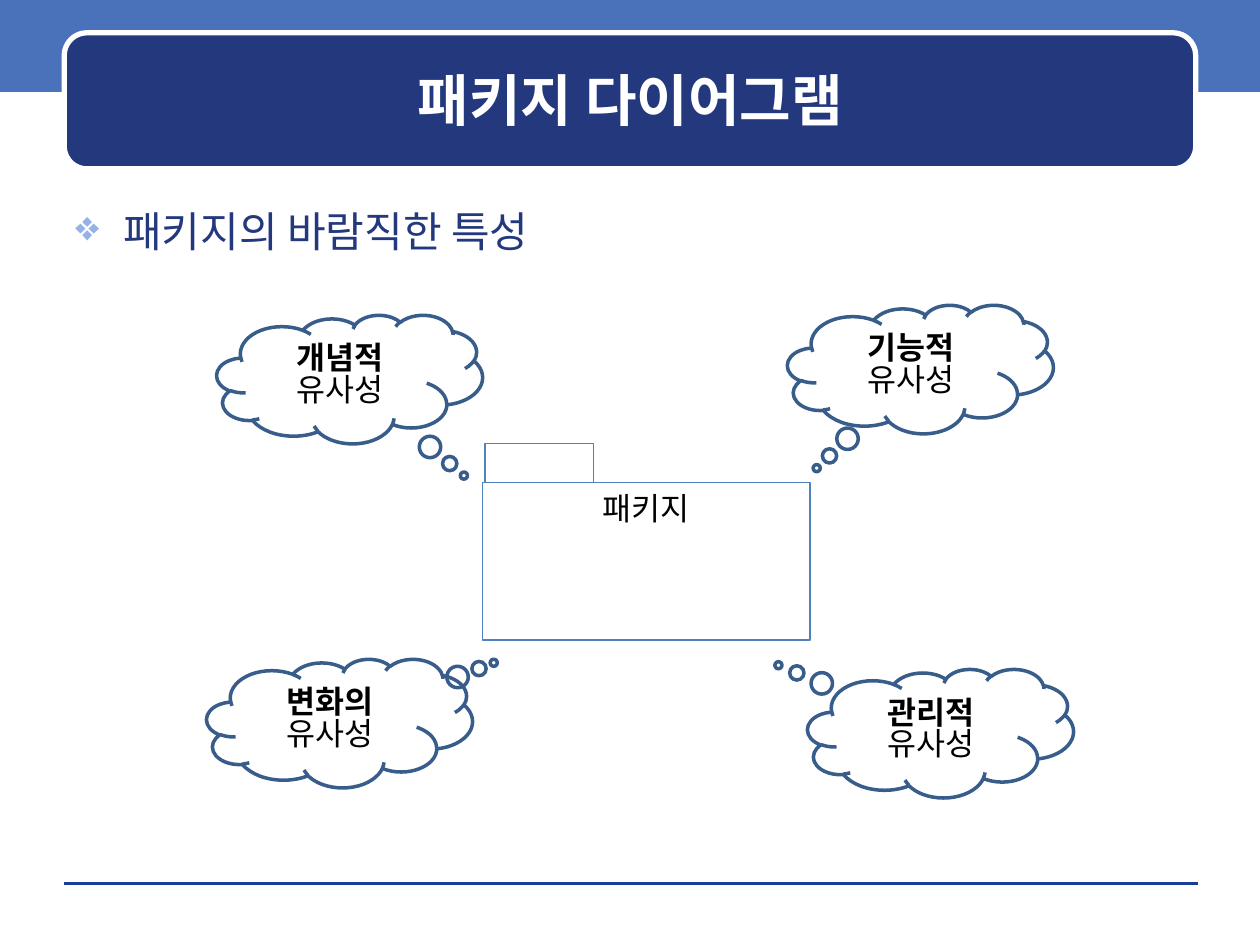
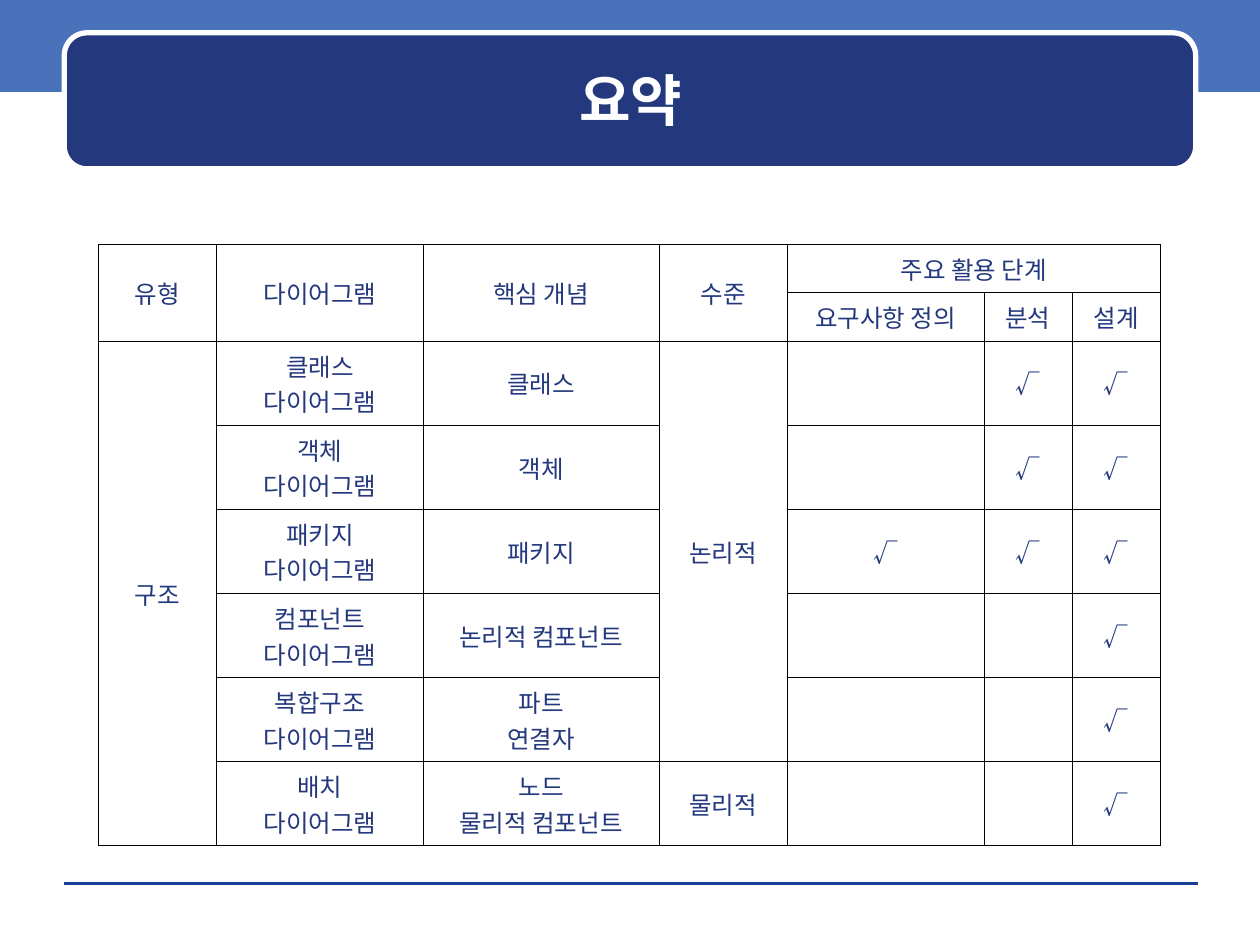
from lxml.etree import SubElement
from pptx import Presentation
from pptx.dml.color import RGBColor
from pptx.enum.shapes import MSO_CONNECTOR, MSO_SHAPE
from pptx.enum.text import MSO_ANCHOR, PP_ALIGN
from pptx.oxml.ns import qn
from pptx.util import Inches, Pt

WIDTH, HEIGHT = Inches(10), Inches(7.5)
FONT = "Noto Sans CJK KR"
COLORS = {
    "band": "4972BB", "navy": "23387D", "rule": "1A3D97", "white": "FFFFFF",
    "black": "000000", "bullet": "96B1E6", "package": "4F81BD", "cloud": "385D8A",
}

CLOUD_SIZE = (21.1, 13.6)
CLOUDS = [  # word, left, top, tail
    ("개념적", 17.2, 33.33, (0.43, 0.75)),
    ("변화의", 16.4, 69.73, (0.58, -0.47)),
    ("기능적", 62.5, 32.27, (-0.39, 0.77)),
    ("관리적", 64.1, 70.8, (-0.61, -0.53)),
]

COLUMNS = [9.4, 16.4, 18.7, 10.2, 15.6, 7, 7]
HEADER_ROW, BODY_ROW = 4.53, 7.6
HEADERS = [
    ["유형", "다이어그램", "핵심 개념", "수준", "주요 활용 단계", "", ""],
    ["", "", "", "", "요구사항 정의", "분석", "설계"],
]
DIAGRAMS = [  # name, key concept, phases in which it is used
    ("클래스", "클래스", "분석 설계"),
    ("객체", "객체", "분석 설계"),
    ("패키지", "패키지", "정의 분석 설계"),
    ("컴포넌트", "논리적 컴포넌트", "설계"),
    ("복합구조", "파트\n연결자", "설계"),
    ("배치", "노드\n물리적 컴포넌트", "설계"),
]
PHASES = ["정의", "분석", "설계"]
LEVELS = {2: "논리적", 7: "물리적"}
MERGES = [(0, 0, 1, 0), (0, 1, 1, 1), (0, 2, 1, 2), (0, 3, 1, 3),
          (0, 4, 0, 6), (2, 0, 7, 0), (2, 3, 6, 3)]


def color(name):
    return RGBColor.from_string(COLORS[name])


def across(percent):
    return int(WIDTH * percent / 100)


def down(percent):
    return int(HEIGHT * percent / 100)


def box(left, top, width, height):
    """Turn percentages of the slide into a position and size."""
    return across(left), down(top), across(width), down(height)


def format_text(tf, size, ink, bold=False, align=PP_ALIGN.CENTER):
    for p in tf.paragraphs:
        p.alignment = align
        for r in p.runs:
            r.font.size = Pt(size)
            r.font.bold = bold
            r.font.name = FONT
            r.font.color.rgb = color(ink)
            SubElement(r.font._element, qn("a:ea"), typeface=FONT)


def add_box(shapes, kind, place, fill=None, line=None, weight=0.75):
    sp = shapes.add_shape(kind, *box(*place))
    sp.shadow.inherit = False
    if fill:
        sp.fill.solid()
        sp.fill.fore_color.rgb = color(fill)
    else:
        sp.fill.background()
    if line:
        sp.line.color.rgb = color(line)
        sp.line.width = Pt(weight)
    else:
        sp.line.fill.background()
    return sp


def add_rule(shapes, left, right, y):
    rule = shapes.add_connector(MSO_CONNECTOR.STRAIGHT, across(left), down(y),
                                across(right), down(y))
    rule.line.color.rgb = color("rule")
    rule.line.width = Pt(0)
    SubElement(rule.element.spPr, qn("a:effectLst"))
    return rule


def decorate_layout(layout, slide):
    """Draw the shared band, rule and title panel, then move them to the layout."""
    shapes = slide.shapes
    decorations = [
        add_box(shapes, MSO_SHAPE.RECTANGLE, (0, 0, 100, 9.73), "band"),
        add_rule(shapes, 5.1, 95.1, 93.47),
        add_box(shapes, MSO_SHAPE.ROUNDED_RECTANGLE, (5.1, 3.47, 89.8, 14.4),
                "navy", "white", 3),
    ]
    for i, sp in enumerate(decorations):
        sp.element.xpath(".//p:cNvPr")[0].set("id", str(100 + i))
        layout.shapes.element.insert(2 + i, sp.element)


def set_title(slide, text):
    title = slide.shapes.title
    title.left, title.top, title.width, title.height = box(6, 4.67, 88.1, 11.73)
    tf = title.text_frame
    tf.text = text
    tf.vertical_anchor = MSO_ANCHOR.MIDDLE
    format_text(tf, 32, "white", bold=True)


def add_bullet_text(slide, text):
    tf = slide.shapes.add_textbox(*box(5, 21.07, 90, 71.07)).text_frame
    tf.word_wrap = True
    tf.text = text
    pPr = tf.paragraphs[0]._p.get_or_add_pPr()
    indent = Inches(0.38)
    pPr.set("marL", str(indent))
    pPr.set("indent", str(-indent))
    SubElement(SubElement(pPr, qn("a:buClr")), qn("a:srgbClr"), val=COLORS["bullet"])
    SubElement(pPr, qn("a:buChar"), char="❖")
    format_text(tf, 24, "navy", align=PP_ALIGN.LEFT)


def add_package(slide, name):
    shapes = slide.shapes.add_group_shape().shapes
    body = add_box(shapes, MSO_SHAPE.RECTANGLE, (38.3, 51.07, 26, 16.67), line="package")
    add_box(shapes, MSO_SHAPE.RECTANGLE, (38.5, 46.93, 8.6, 4.13), line="package")
    tf = body.text_frame
    tf.text = name
    tf.vertical_anchor = MSO_ANCHOR.TOP
    format_text(tf, 18, "black")


def add_cloud(slide, word, left, top, tail):
    sp = add_box(slide.shapes, MSO_SHAPE.CLOUD_CALLOUT, (left, top, *CLOUD_SIZE),
                 line="cloud", weight=2)
    sp.adjustments[0], sp.adjustments[1] = tail
    tf = sp.text_frame
    tf.text = f"{word}\n유사성"
    tf.vertical_anchor = MSO_ANCHOR.MIDDLE
    format_text(tf, 18, "black")
    for p in tf.paragraphs:
        p.line_spacing = 0.83
    tf.paragraphs[0].runs[0].font.bold = True


def add_borders(cell):
    tcPr = cell._tc.get_or_add_tcPr()
    for i, side in enumerate(("lnL", "lnR", "lnT", "lnB")):
        ln = tcPr.makeelement(qn(f"a:{side}"), {"w": str(Pt(0.45))})
        fill = SubElement(ln, qn("a:solidFill"))
        SubElement(fill, qn("a:srgbClr"), val=COLORS["black"])
        tcPr.insert(i, ln)


def summary_rows():
    rows = list(HEADERS)
    for i, (name, concept, used) in enumerate(DIAGRAMS, start=len(HEADERS)):
        checks = ["√" if phase in used else "" for phase in PHASES]
        kind = "구조" if i == len(HEADERS) else ""
        rows.append([kind, f"{name}\n다이어그램", concept, LEVELS.get(i, ""), *checks])
    return rows


def add_summary_table(slide):
    rows = summary_rows()
    heights = [HEADER_ROW] * len(HEADERS) + [BODY_ROW] * len(DIAGRAMS)
    place = box(7.8, 25.87, sum(COLUMNS), sum(heights))
    table = slide.shapes.add_table(len(rows), len(COLUMNS), *place).table
    table.first_row = table.horz_banding = False
    for column, width in zip(table.columns, COLUMNS):
        column.width = across(width)
    for row, height, texts in zip(table.rows, heights, rows):
        row.height = down(height)
        for cell, text in zip(row.cells, texts):
            cell.fill.background()
            cell.vertical_anchor = MSO_ANCHOR.MIDDLE
            add_borders(cell)
            if text:
                cell.text_frame.text = text
                format_text(cell.text_frame, 14, "navy")
    for top, left, bottom, right in MERGES:
        table.cell(top, left).merge(table.cell(bottom, right))


def main():
    prs = Presentation()
    prs.slide_width, prs.slide_height = WIDTH, HEIGHT
    layout = prs.slide_layouts[5]

    traits = prs.slides.add_slide(layout)
    decorate_layout(layout, traits)
    set_title(traits, "패키지 다이어그램")
    add_bullet_text(traits, "패키지의 바람직한 특성")
    add_package(traits, "패키지")
    for cloud in CLOUDS:
        add_cloud(traits, *cloud)

    summary = prs.slides.add_slide(layout)
    set_title(summary, "요약")
    add_summary_table(summary)

    prs.save("out.pptx")


if __name__ == "__main__":
    main()
